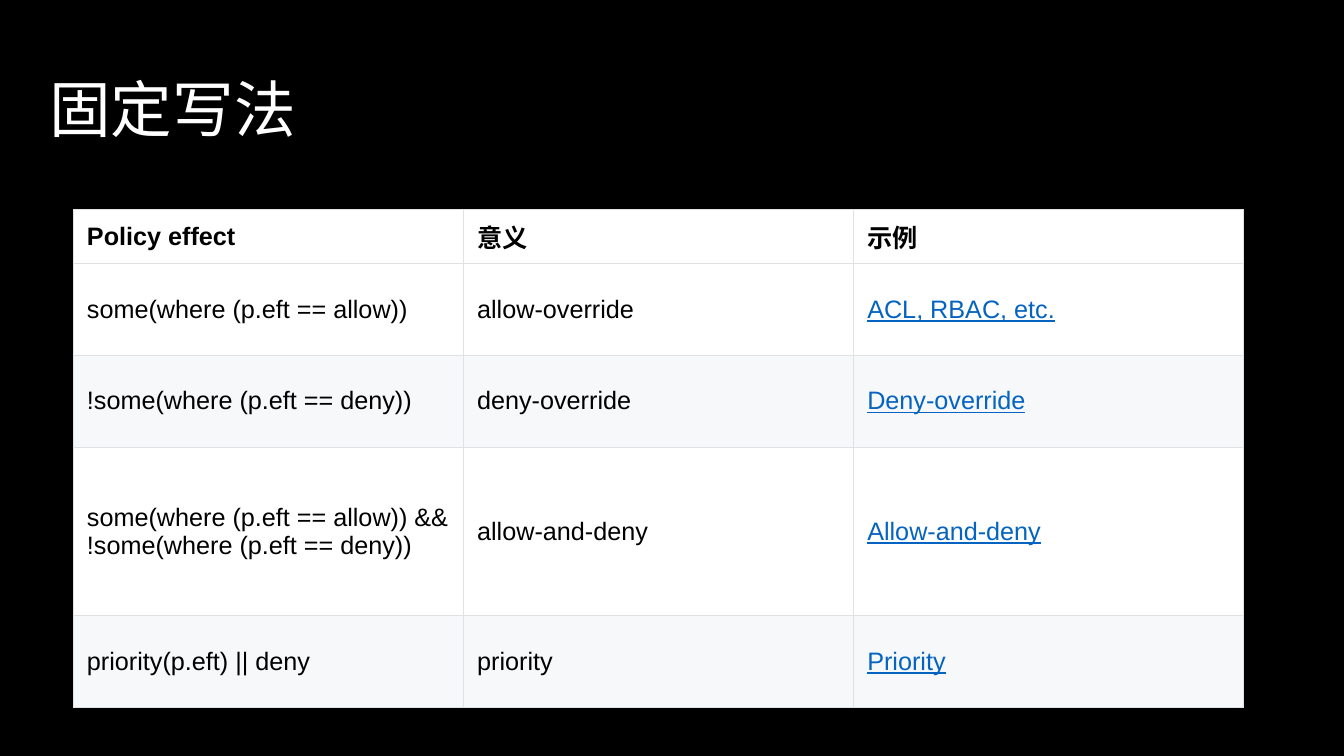
from dataclasses import dataclass

from lxml import etree
from pptx import Presentation
from pptx.dml.color import RGBColor
from pptx.enum.text import MSO_ANCHOR, MSO_AUTO_SIZE, PP_ALIGN
from pptx.oxml.ns import qn
from pptx.slide import Slide
from pptx.table import _Cell
from pptx.text.text import _Paragraph
from pptx.util import Pt

MIDDLE = MSO_ANCHOR.MIDDLE
LEFT = PP_ALIGN.LEFT
NO_AUTOFIT = MSO_AUTO_SIZE.NONE

COLORS = {
    "black": "000000",
    "white": "FFFFFF",
    "stripe": "F6F8FA",
    "border": "DFE2E5",
    "link": "0563C1",
}
TABLE_LEFT, TABLE_TOP = 52.4, 149.8
COLUMN_WIDTH = 278.7
BORDER_WIDTH = 0.75


@dataclass(frozen=True)
class TextStyle:
    font: str
    size: float
    color: str
    bold: bool = False
    underline: bool = False


@dataclass(frozen=True)
class PolicyRow:
    effect: str
    meaning: str
    example: str
    height: float
    fill: str


TITLE = TextStyle("Calibri", 44, "white")
HEADER = TextStyle("Arial", 18, "black", bold=True)
BODY = TextStyle("Arial", 18, "black")
LINK = TextStyle("Arial", 18, "link", underline=True)

ROWS = [
    PolicyRow("Policy effect", "意义", "示例", 38.4, "white"),
    PolicyRow("some(where (p.eft == allow))", "allow-override", "ACL, RBAC, etc.", 65.6, "white"),
    PolicyRow("!some(where (p.eft == deny))", "deny-override", "Deny-override", 65.6, "stripe"),
    PolicyRow(
        "some(where (p.eft == allow)) && !some(where (p.eft == deny))",
        "allow-and-deny",
        "Allow-and-deny",
        120.4,
        "white",
    ),
    PolicyRow("priority(p.eft) || deny", "priority", "Priority", 65.6, "stripe"),
]


def rgb(name: str) -> RGBColor:
    return RGBColor.from_string(COLORS[name])


def add_span(para: _Paragraph, text: str, style: TextStyle) -> None:
    span = para.add_run()
    span.text = text
    span.font.name = style.font
    span.font.size = Pt(style.size)
    span.font.bold = style.bold
    span.font.underline = style.underline
    span.font.color.rgb = rgb(style.color)


def add_borders(cell: _Cell) -> None:
    properties = cell._tc.get_or_add_tcPr()
    for position, side in enumerate(("lnL", "lnR", "lnT", "lnB")):
        line = etree.Element(qn(f"a:{side}"), w=str(Pt(BORDER_WIDTH)))
        fill = etree.SubElement(line, qn("a:solidFill"))
        etree.SubElement(fill, qn("a:srgbClr"), val=COLORS["border"])
        properties.insert(position, line)


def fill_cell(cell: _Cell, text: str, style: TextStyle, fill: str) -> None:
    cell.fill.solid()
    cell.fill.fore_color.rgb = rgb(fill)
    cell.vertical_anchor = MIDDLE
    cell.margin_left = cell.margin_right = Pt(9.75)
    cell.margin_top = cell.margin_bottom = Pt(4.5)
    add_span(cell.text_frame.paragraphs[0], text, style)
    add_borders(cell)


def add_title(page: Slide, text: str) -> None:
    box = page.shapes.title
    box.left, box.top, box.width, box.height = Pt(28), Pt(28.8), Pt(865.4), Pt(103.7)
    frame = box.text_frame
    frame.word_wrap = True
    frame.auto_size = NO_AUTOFIT
    frame.vertical_anchor = MIDDLE
    para = frame.paragraphs[0]
    para.alignment = LEFT
    para.line_spacing = 0.9
    add_span(para, text, TITLE)


def add_policy_table(page: Slide, rows: list[PolicyRow]) -> None:
    height = sum(row.height for row in rows)
    table = page.shapes.add_table(
        len(rows), 3, Pt(TABLE_LEFT), Pt(TABLE_TOP), Pt(3 * COLUMN_WIDTH), Pt(height)
    ).table
    for column in table.columns:
        column.width = Pt(COLUMN_WIDTH)
    for index, row in enumerate(rows):
        table.rows[index].height = Pt(row.height)
        styles = (BODY, BODY, LINK) if index else (HEADER,) * 3
        texts = (row.effect, row.meaning, row.example)
        for cell, text, style in zip(table.rows[index].cells, texts, styles):
            fill_cell(cell, text, style, row.fill)


def main() -> None:
    deck = Presentation()
    deck.slide_width, deck.slide_height = Pt(960), Pt(540)
    page = deck.slides.add_slide(deck.slide_layouts[5])
    page.background.fill.solid()
    page.background.fill.fore_color.rgb = rgb("black")
    add_title(page, "固定写法")
    add_policy_table(page, ROWS)
    deck.save("out.pptx")


if __name__ == "__main__":
    main()
